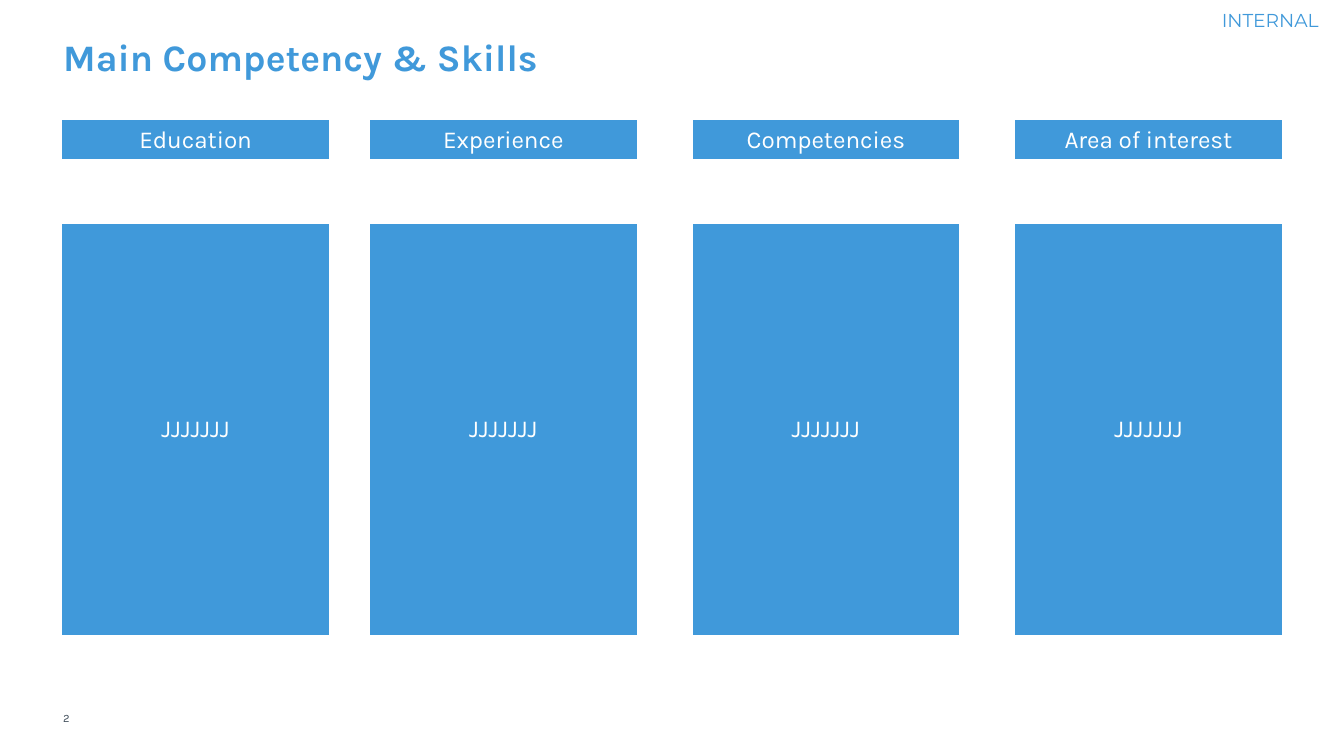
from lxml import etree
from pptx import Presentation
from pptx.dml.color import RGBColor
from pptx.enum.shapes import MSO_SHAPE
from pptx.enum.text import MSO_ANCHOR, PP_ALIGN
from pptx.oxml.ns import qn
from pptx.util import Inches, Pt

RECTANGLE = MSO_SHAPE.RECTANGLE
TOP, MIDDLE, BOTTOM = MSO_ANCHOR.TOP, MSO_ANCHOR.MIDDLE, MSO_ANCHOR.BOTTOM
LEFT, CENTER, RIGHT = PP_ALIGN.LEFT, PP_ALIGN.CENTER, PP_ALIGN.RIGHT
COLORS = {"blue": "4099DA", "white": "FFFFFF", "slate": "3B4956"}
COLUMN_WIDTH = 1.97
HEADING_HEIGHT = 0.28
BODY_OFFSET = 0.77
COLUMNS = [
    (0.47, "Education", "JJJJJJJ"),
    (2.76, "Experience", "JJJJJJJ"),
    (5.16, "Competencies", "JJJJJJJ"),
    (7.56, "Area of interest", "JJJJJJJ"),
]


def color(name):
    return RGBColor.from_string(COLORS[name])


def write(shape, text, size, ink, align, anchor, font="Karla", bold=False, spacing=0.96):
    frame = shape.text_frame
    frame.word_wrap = True
    frame.vertical_anchor = anchor
    para = frame.paragraphs[0]
    para.alignment = align
    para.line_spacing = spacing
    span = para.add_run()
    span.text = text
    span.font.name = font
    span.font.size = Pt(size)
    span.font.bold = bold
    span.font.color.rgb = color(ink)


def add_label(page, box, text, size, ink, align, anchor, **style):
    label = page.shapes.add_textbox(*map(Inches, box))
    frame = label.text_frame
    frame.margin_left = frame.margin_right = frame.margin_top = frame.margin_bottom = 0
    write(label, text, size, ink, align, anchor, **style)


def add_block(page, box, text):
    block = page.shapes.add_shape(RECTANGLE, *map(Inches, box))
    block.shadow.inherit = False
    block.fill.solid()
    block.fill.fore_color.rgb = color("blue")
    block.line.color.rgb = color("blue")
    block.line.width = Pt(1)
    outline = block.element.spPr.find(qn("a:ln"))
    etree.SubElement(outline, qn("a:miter"), lim="800000")
    write(block, text, 13, "white", CENTER, MIDDLE)


def add_column(page, box, heading, body):
    left, top, width, height = box
    add_block(page, (left, top, width, HEADING_HEIGHT), heading)
    add_block(page, (left, top + BODY_OFFSET, width, height - BODY_OFFSET), body)


def build_skills_page(deck):
    page = deck.slides.add_slide(deck.slide_layouts[6])
    add_label(page, (8.9, 0, 0.91, 0.31), "INTERNAL", 10, "blue", RIGHT, MIDDLE, font="Montserrat")
    add_label(page, (0.47, 5.26, 0.26, 0.13), "2", 6, "slate", LEFT, BOTTOM, spacing=1.0)
    add_label(page, (0.47, 0.28, 9.06, 0.63), "Main Competency & Skills", 20, "blue",
              LEFT, TOP, bold=True, spacing=0.95)
    for left, heading, body in COLUMNS:
        add_column(page, (left, 0.9, COLUMN_WIDTH, 3.82), heading, body)


deck = Presentation()
deck.slide_width = Inches(10)
deck.slide_height = Inches(10 * 9 / 16)
build_skills_page(deck)
deck.save("out.pptx")
